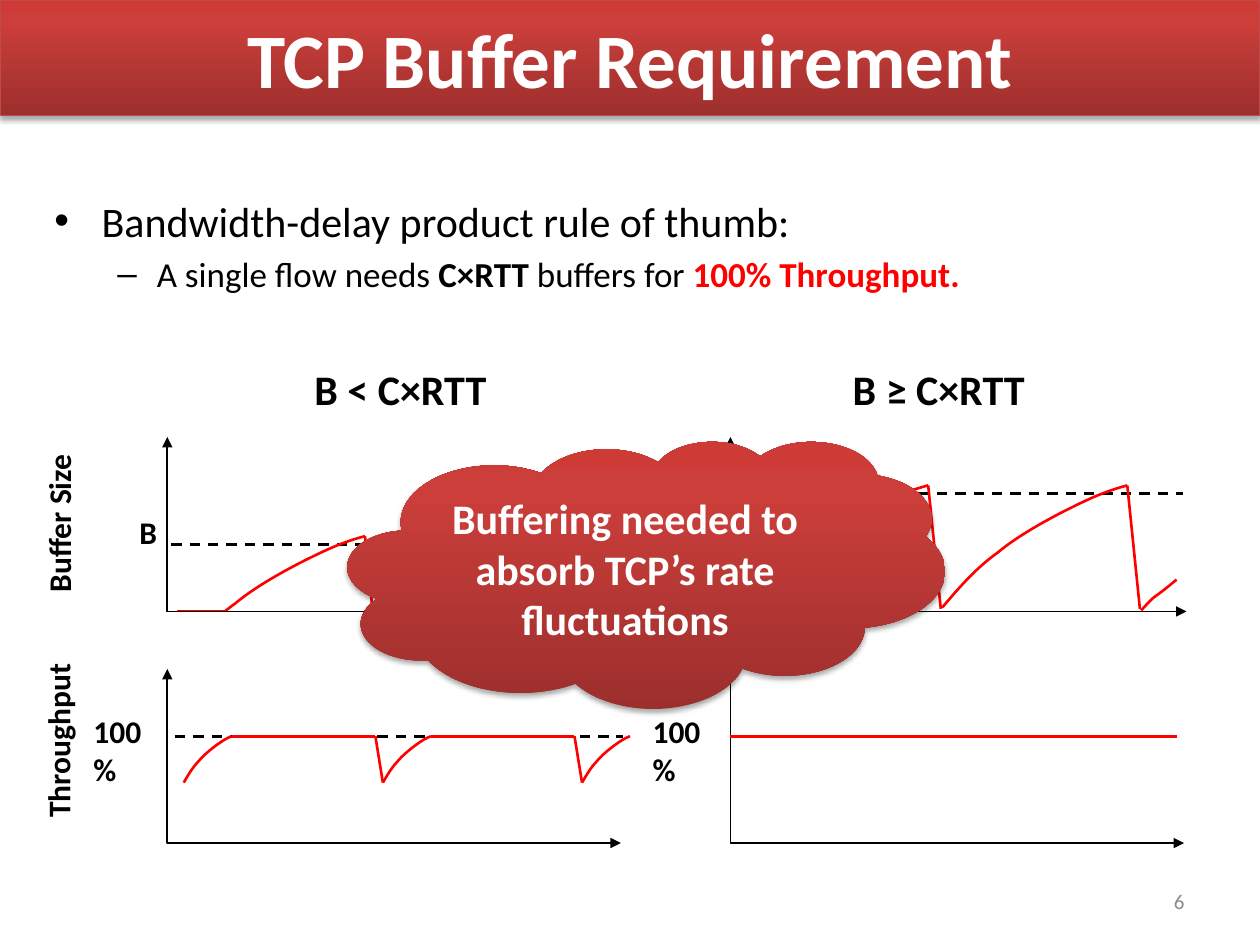
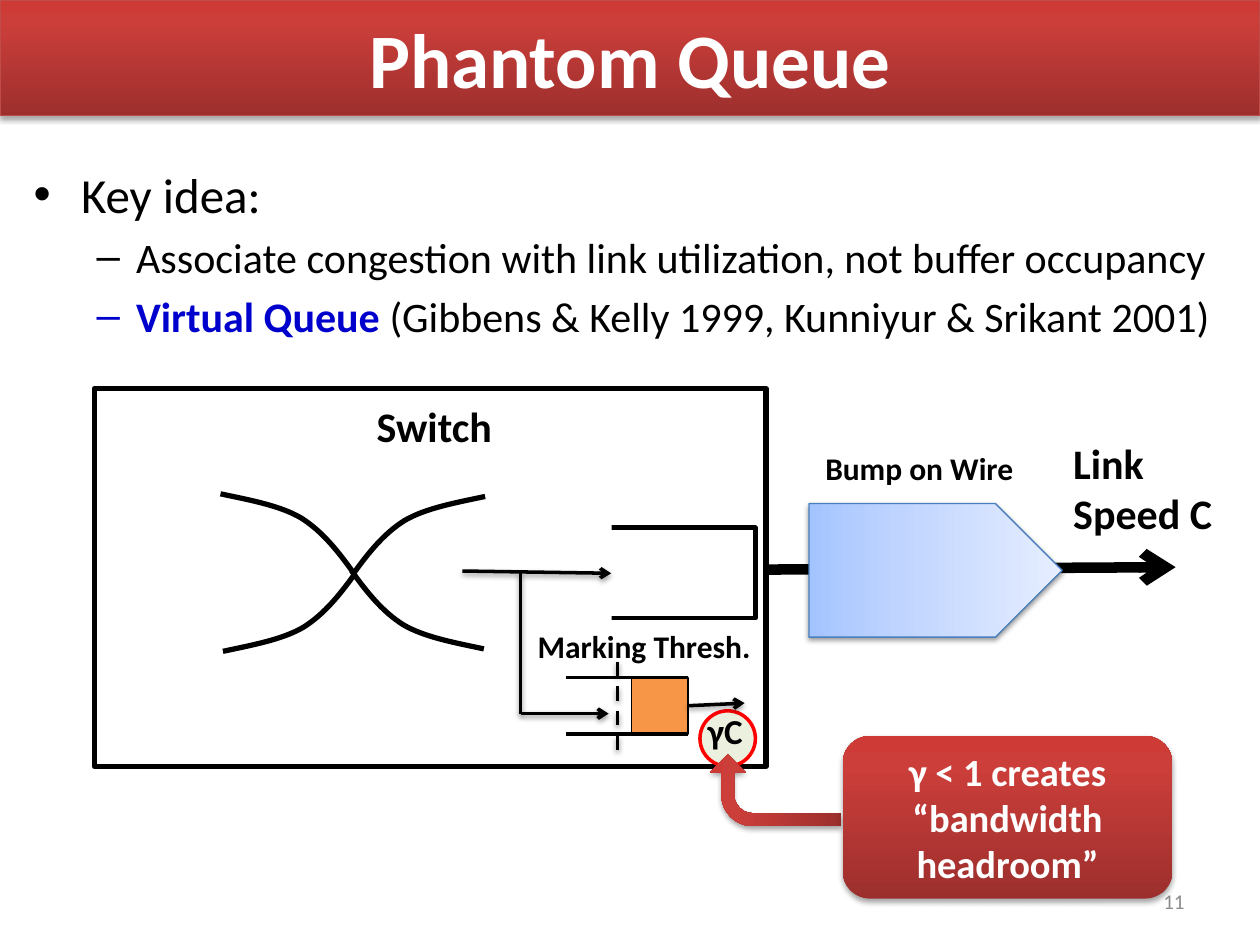
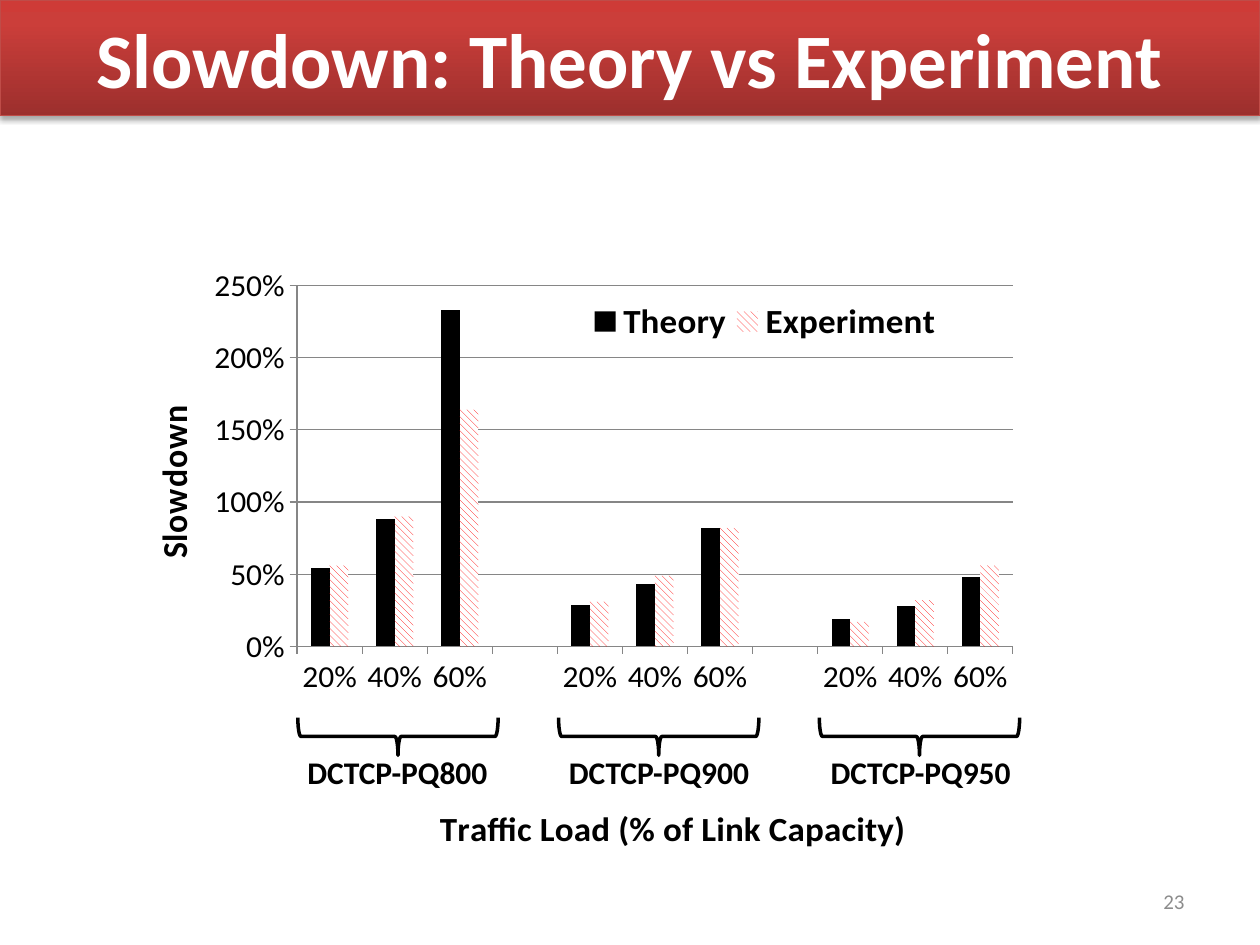
from dataclasses import dataclass

from lxml import etree
from pptx import Presentation
from pptx import util as u
from pptx.chart.data import CategoryChartData
from pptx.dml.color import RGBColor
from pptx.enum import chart as ch, dml, shapes, text
from pptx.oxml import parse_xml
from pptx.oxml.ns import nsdecls, qn

SHAPE = shapes.MSO_SHAPE
ALIGN = text.PP_ALIGN


@dataclass(frozen=True)
class Theme:
    font: str = "Calibri"
    black: str = "000000"
    white: str = "FFFFFF"
    red: str = "FF0000"
    blue: str = "0000CC"
    grey: str = "8C8C8C"
    grid: str = "868686"
    band_edge: str = "BF4C48"
    bump_edge: str = "4B7EBC"
    orange: str = "F79646"
    pale_green: str = "EBF1DE"
    red_grad: tuple = ((0, "9C2F2D"), (80, "CB3E3A"), (100, "CE3B37"))
    blue_grad: tuple = ((0, "A4C4FF"), (35, "BFD4FF"), (100, "E6EEFF"))
    strong_shadow: tuple = (35, 1.8)
    soft_shadow: tuple = (38, 1.6)
    title: int = 44
    idea: int = 28
    head: int = 24
    callout: int = 22
    sub: int = 20
    label: int = 18
    tick: int = 18
    chart: int = 16
    page: int = 12


T = Theme()

RAMP = [(0, 1), (.09, .84), (.18, .68), (.3, .55), (.41, .41),
        (.58, .27), (.7, .18), (.82, .09), (.9, .04), (1, 0)]
ARM = [(0, 0), (.22, .08), (.45, .15), (.61, .31), (.77, .48), (.89, .74), (1, 1)]
RECOVERY = [(0, 1), (.5, .37), (.18, .79), (1, 0)]


@dataclass(frozen=True)
class Box:
    x: float
    y: float
    w: float = 0
    h: float = 0

    def at(self, dx, dy, w=0, h=0):
        return Box(self.x + dx, self.y + dy, w, h)

    def pts(self):
        return [u.Pt(v) for v in (self.x, self.y, self.w, self.h)]


def rgb(value):
    return RGBColor.from_string(value)


def set_effects(item, shadow):
    props = item._element.spPr
    effects = props.find(qn("a:effectLst"))
    if effects is None:
        effects = etree.SubElement(props, qn("a:effectLst"))
    if shadow:
        alpha, dist = shadow
        effects.append(parse_xml(
            f'<a:outerShdw {nsdecls("a")} blurRad="{u.Pt(3.1)}" dist="{u.Pt(dist)}" '
            f'dir="5400000" rotWithShape="0"><a:srgbClr val="000000">'
            f'<a:alpha val="{alpha * 1000}"/></a:srgbClr></a:outerShdw>'))


def set_gradient(sp, stops):
    sp.fill.background()
    props = sp._element.spPr
    marks = "".join(f'<a:gs pos="{pos * 1000}"><a:srgbClr val="{color}"/></a:gs>'
                    for pos, color in stops)
    props.replace(props.find(qn("a:noFill")), parse_xml(
        f'<a:gradFill {nsdecls("a")} rotWithShape="1"><a:gsLst>{marks}</a:gsLst>'
        f'<a:lin ang="16200000" scaled="0"/></a:gradFill>'))


def set_line(item, color, weight, dashed=False, head=None, tail=None):
    line = item.line
    line.color.rgb = rgb(color)
    line.width = u.Pt(weight)
    if dashed:
        line.dash_style = dml.MSO_LINE.DASH
    ln = item._element.spPr.find(qn("a:ln"))
    for tag, kind in (("a:headEnd", head), ("a:tailEnd", tail)):
        if kind:
            etree.SubElement(ln, qn(tag), type=kind)


def add_shape(s, kind, box, fill=None, line=None, weight=.75, rot=0, adj=(), shadow=None):
    sp = s.shapes.add_shape(kind, *box.pts())
    sp.rotation = rot
    for i, value in enumerate(adj):
        sp.adjustments[i] = value
    if isinstance(fill, tuple):
        set_gradient(sp, fill)
    elif fill:
        sp.fill.solid()
        sp.fill.fore_color.rgb = rgb(fill)
    else:
        sp.fill.background()
    if line:
        set_line(sp, line, weight)
    else:
        sp.line.fill.background()
    sp.shadow.inherit = False
    set_effects(sp, shadow)
    return sp


def add_line(s, start, end, color=T.black, weight=1.5, dashed=False, tail=None, shadow=None):
    line = s.shapes.add_connector(shapes.MSO_CONNECTOR.STRAIGHT, u.Pt(start.x), u.Pt(start.y),
                                  u.Pt(end.x), u.Pt(end.y))
    set_line(line, color, weight, dashed, tail=tail)
    set_effects(line, shadow)
    return line


def add_outline(s, points, color, weight, head=None, tail=None):
    start, *rest = [(u.Pt(x), u.Pt(y)) for x, y in points]
    builder = s.shapes.build_freeform(*start)
    builder.add_line_segments(rest, close=False)
    sp = builder.convert_to_shape()
    sp.fill.background()
    set_line(sp, color, weight, head=head, tail=tail)
    sp.shadow.inherit = False
    return sp


def add_curve(s, knots, box, color=T.red, weight=1.5):
    sp = add_outline(s, [(box.x + kx * box.w, box.y + ky * box.h) for kx, ky in knots],
                     color, weight)
    segments = list(sp._element.iter(qn("a:lnTo")))
    for i in range(0, len(segments), 3):
        bezier = etree.Element(qn("a:cubicBezTo"))
        segments[i].addprevious(bezier)
        for segment in segments[i:i + 3]:
            bezier.append(segment[0])
            segment.getparent().remove(segment)


def add_run(p, words, size, color=T.black, bold=False):
    r = p.add_run()
    r.text = words
    r.font.name = T.font
    r.font.size = u.Pt(size)
    r.font.bold = bold
    r.font.color.rgb = rgb(color)


def write(tf, lines, size, color=T.black, bold=True, align=ALIGN.LEFT, wrap=True):
    tf.word_wrap = wrap
    for i, words in enumerate(lines):
        p = tf.add_paragraph() if i else tf.paragraphs[0]
        p.alignment = align
        add_run(p, words, size, color, bold)


def add_label(s, box, *lines, size=T.label, rot=0, **style):
    sp = s.shapes.add_textbox(*box.pts())
    sp.rotation = rot
    write(sp.text_frame, lines, size, **style)
    return sp


def add_bullets(s, box, items):
    tf = s.shapes.add_textbox(*box.pts()).text_frame
    tf.word_wrap = True
    for i, (level, size, runs) in enumerate(items):
        p = tf.add_paragraph() if i else tf.paragraphs[0]
        mark, margin, hang = (("•", 27, 27), ("–", 58.5, 22.5))[level]
        props = p._p.get_or_add_pPr()
        props.set("marL", str(u.Pt(margin)))
        props.set("indent", str(u.Pt(-hang)))
        etree.SubElement(props, qn("a:buFont"), typeface="Arial")
        etree.SubElement(props, qn("a:buChar"), char=mark)
        p.level = level
        if i:
            p.space_before = u.Pt(size * .2)
        for words, color, bold in runs:
            add_run(p, words, size, color, bold)


def new_slide(prs, title, page):
    s = prs.slides.add_slide(prs.slide_layouts[6])
    band = add_shape(s, SHAPE.RECTANGLE, Box(0, 0, 720, 66.2), T.red_grad, T.band_edge,
                     shadow=T.strong_shadow)
    write(band.text_frame, [title], T.title, T.white, align=ALIGN.CENTER)
    number = add_label(s, Box(516, 500.5, 168, 28.8), page, size=T.page, color=T.grey,
                       bold=False, align=ALIGN.RIGHT)
    number.text_frame.vertical_anchor = text.MSO_ANCHOR.MIDDLE
    return s


def add_axes(s, box):
    bottom = box.y + box.h
    add_outline(s, [(box.x, box.y), (box.x, bottom), (box.x + box.w, bottom)], T.black, 1,
                "triangle", "triangle")


def flow_panel(s, box, heading, heading_dx, percent_dx, level, label_y, full_rate):
    period = 113.8
    floor = 99.4
    rate_y = 170.9
    add_label(s, box.at(heading_dx, -45.8, 113.8, 36), heading, size=T.head, wrap=False)
    add_label(s, box.at(-23, label_y, 18.7, 42.5), "B", wrap=False)
    add_label(s, box.at(percent_dx, 153.4, 42.5, 42.5), "100%")
    add_line(s, box.at(2.2, level), box.at(258.5, level), dashed=True)
    for i in range(2):
        tooth = box.at(7.2 + i * period, level - 4.6, 105.8, 69.8)
        add_curve(s, RAMP, tooth)
        add_line(s, tooth.at(105.8, 0), tooth.at(113, 70.5), T.red)
    if full_rate:
        add_curve(s, RECOVERY, box.at(234.7, 81.4, 20.2, 17.6))
    else:
        for left, right in ((5.8, 33.1), (118, 145.4), (231.1, 249.1)):
            add_line(s, box.at(left, floor), box.at(right, floor), T.red)
    add_axes(s, box.at(0, 0, 260.6, 99.6))
    add_shape(s, SHAPE.RECTANGLE, box.at(4.3, 100, 237.6, 35.3), T.white)
    add_axes(s, box.at(0, 132.5, 259.2, 99.4))
    if full_rate:
        add_line(s, box.at(0, rate_y), box.at(254.9, rate_y), T.red)
        return
    add_line(s, box.at(4.3, rate_y), box.at(260.6, rate_y), dashed=True)
    for i in range(3):
        rise = box.at(9.4 + i * period, rate_y, 27.4, 26.5)
        add_curve(s, RAMP, rise)
        if i < 2:
            add_line(s, rise.at(27.4, 0), rise.at(109.5, 0), T.red)
            add_line(s, rise.at(109.5, 0), rise.at(period, 26.5), T.red)


def buffer_slide(prs):
    s = new_slide(prs, "TCP Buffer Requirement", "6")
    add_bullets(s, Box(24, 108, 648, 77.8), [
        (0, T.head, [("Bandwidth-delay product rule of thumb:", T.black, False)]),
        (1, T.sub, [("A single flow needs ", T.black, False), ("C×RTT ", T.black, True),
                    ("buffers for ", T.black, False), ("100% Throughput.", T.red, True)])])
    add_label(s, Box(-28.8, 419.8, 123.8, 28.8), "Throughput", rot=270, align=ALIGN.RIGHT)
    add_label(s, Box(-13.7, 285.4, 94.3, 28.8), "Buffer Size", rot=270, align=ALIGN.RIGHT,
              wrap=False)
    flow_panel(s, Box(417.4, 249.8), "B ≥ C×RTT", 62.8, -51.6, 32.2, 14.4, True)
    flow_panel(s, Box(95.6, 249.8), "B < C×RTT", 77, -49.3, 61.2, 39.6, False)
    cloud = add_shape(s, SHAPE.CLOUD, Box(198.7, 252, 341.3, 152.6), T.red_grad,
                      shadow=T.strong_shadow)
    write(cloud.text_frame, ["Buffering needed to absorb TCP’s rate fluctuations"],
          T.head, T.white, align=ALIGN.CENTER)


def link_region(s, box):
    add_line(s, box.at(0, 79.2), box.at(234, 77.8), weight=6, tail="arrow")
    add_shape(s, SHAPE.SNIP_2_SAME_RECTANGLE, box.at(58.7, 7.3, 76.3, 144.7), T.blue_grad,
              T.bump_edge, rot=90, adj=(.5, 0), shadow=T.soft_shadow)
    add_label(s, box.at(168.4, 0, 102.2, 65.5), "Link", "Speed C", size=T.head)
    add_label(s, box.at(26.7, 6.8, 129.6, 30), "Bump on Wire")


def phantom_queue(s, box):
    add_shape(s, SHAPE.OVAL, box.at(76.7, 30.8, 31.7, 31.7), T.pale_green, T.red, 2)
    backlog = add_shape(s, SHAPE.RECTANGLE, box.at(37.4, 11.7, 32.4, 32.4), T.orange, T.black)
    for wall in (11.7, 44.1):
        add_line(s, box.at(0, wall), box.at(69.8, wall), weight=2)
    drain = add_line(s, box.at(69.8, 27.9), box.at(102.2, 26.4), weight=2, tail="arrow",
                     shadow=T.soft_shadow)
    drain.begin_connect(backlog, 3)
    add_line(s, box.at(29.5, 53.1), box.at(29.5, 0), weight=2, dashed=True,
             shadow=T.soft_shadow)
    add_label(s, box.at(-23.2, -20.4, 156.2, 28.8), "Marking Thresh.")
    add_label(s, box.at(74, 26.4, 34.6, 31.7), "γC", size=T.sub, wrap=False)


def switch_region(s, box):
    add_shape(s, SHAPE.RECTANGLE, box, line=T.black, weight=3)
    add_label(s, box.at(154.2, 3.4, 175.7, 62.6), "Switch", size=T.head)
    for x, y, sx, sy in ((72, 60.2, 1, 1), (222.5, 148.8, -1, -1),
                         (223.2, 61.7, -1, 1), (73.4, 150.2, 1, -1)):
        add_curve(s, ARM, box.at(x, y, sx * 75.6, sy * 44.6), T.black, 3)
    add_shape(s, SHAPE.RECTANGLE, box.at(292, 79.5, 85.7, 51.8), line=T.black, weight=2.5)
    add_shape(s, SHAPE.RECTANGLE, box.at(264.6, 75, 31, 62), T.white)
    for start, end, tail in (((210.2, 104.3), (295.2, 105.6), "arrow"),
                             ((243.4, 185.8), (243.4, 105.6), None),
                             ((243.6, 185.8), (293.8, 185.8), "arrow")):
        add_line(s, box.at(*start), box.at(*end), weight=2, tail=tail, shadow=T.soft_shadow)
    phantom_queue(s, box.at(269.3, 153.4))


def headroom_callout(s, box):
    add_shape(s, SHAPE.BENT_ARROW, box.at(-59, -6.5, 41, 74.9), T.red_grad, rot=270,
              adj=(.18, .25, .25, .44), shadow=T.strong_shadow)
    note = add_shape(s, SHAPE.ROUNDED_RECTANGLE, box, T.red_grad, shadow=T.strong_shadow)
    write(note.text_frame, ["γ < 1 creates", "“bandwidth headroom”"], T.callout, T.white,
          align=ALIGN.CENTER)


def phantom_slide(prs):
    s = new_slide(prs, "Phantom Queue", "11")
    link_region(s, Box(437.8, 246.3))
    switch_region(s, Box(54, 222, 383.8, 216))
    add_bullets(s, Box(12.2, 90.2, 702, 120), [
        (0, T.idea, [("Key idea:", T.black, False)]),
        (1, T.head, [("Associate congestion with link utilization, not buffer occupancy",
                      T.black, False)]),
        (1, T.head, [("Virtual Queue ", T.blue, True),
                     ("(Gibbens & Kelly 1999, Kunniyur & Srikant 2001)", T.black, False)])])
    headroom_callout(s, Box(481.6, 420.6, 188.3, 92.9))


def set_layout(parent, frame, part, inner=False):
    for old in parent.findall(qn("c:layout")):
        parent.remove(old)
    target = '<c:layoutTarget val="inner"/>' if inner else ""
    modes = '<c:xMode val="edge"/><c:yMode val="edge"/>'
    sizes = f'<c:x val="{part.x / frame.w:.4f}"/><c:y val="{part.y / frame.h:.4f}"/>'
    if part.w:
        sizes += f'<c:w val="{part.w / frame.w:.4f}"/><c:h val="{part.h / frame.h:.4f}"/>'
    lead = [c for c in parent if c.tag in (qn("c:tx"), qn("c:legendPos"))]
    parent.insert(len(lead), parse_xml(
        f'<c:layout {nsdecls("c")}><c:manualLayout>{target}{modes}{sizes}'
        f'</c:manualLayout></c:layout>'))


def style_axis(axis, title, frame, place):
    add_run(axis.axis_title.text_frame.paragraphs[0], title, T.sub, bold=True)
    set_layout(axis.axis_title._element, frame, place)
    axis.major_tick_mark = ch.XL_TICK_MARK.OUTSIDE
    axis.minor_tick_mark = ch.XL_TICK_MARK.NONE
    axis.tick_labels.font.size = u.Pt(T.tick)
    axis.format.line.color.rgb = rgb(T.grid)
    axis.format.line.width = u.Pt(.75)


def slowdown_chart(s, box):
    loads = ["20%", "40%", "60%"]
    data = CategoryChartData(number_format="0%")
    data.categories = [*loads, "", *loads, "", *loads]
    data.add_series("Theory", [.54, .88, 2.33, None, .29, .43, .82, None, .19, .28, .48])
    data.add_series("Experiment", [.56, .9, 1.64, None, .31, .49, .82, None, .17, .32, .56])
    chart = s.shapes.add_chart(ch.XL_CHART_TYPE.COLUMN_CLUSTERED, *box.pts(), data).chart
    chart.has_title = False
    chart.font.name = T.font
    chart.font.size = u.Pt(T.chart)
    chart.font.color.rgb = rgb(T.black)
    plot = chart.plots[0]
    plot.gap_width = 150
    plot.overlap = 0
    plot.vary_by_categories = False
    theory, experiment = [series.format.fill for series in plot.series]
    theory.solid()
    theory.fore_color.rgb = rgb(T.black)
    experiment.patterned()
    experiment.pattern = dml.MSO_PATTERN.WIDE_DOWNWARD_DIAGONAL
    experiment.fore_color.rgb = rgb(T.red)
    experiment.back_color.rgb = rgb(T.white)
    values = chart.value_axis
    values.minimum_scale, values.maximum_scale, values.major_unit = 0, 2.5, .5
    values.tick_labels.number_format = "0%"
    values.tick_labels.number_format_is_linked = False
    values.major_gridlines.format.line.color.rgb = rgb(T.grid)
    values.major_gridlines.format.line.width = u.Pt(.75)
    style_axis(values, "Slowdown", box, Box(0, 80.8))
    style_axis(chart.category_axis, "Traffic Load (% of Link Capacity)", box, Box(166.4, 314.2))
    chart.has_legend = True
    legend = chart.legend
    legend.position = ch.XL_LEGEND_POSITION.TOP
    legend.include_in_layout = True
    legend.font.size = u.Pt(T.sub)
    legend.font.bold = True
    set_layout(legend._element, box, Box(252.3, 15.3, 207, 33.9))
    plot_area = chart._chartSpace.find(".//" + qn("c:plotArea"))
    set_layout(plot_area, box, Box(88.4, 10.9, 409, 213.6), True)


def slowdown_slide(prs):
    s = new_slide(prs, "Slowdown: Theory vs Experiment", "23")
    box = Box(81.4, 152.6, 511.2, 339.1)
    slowdown_chart(s, box)
    for i, rate in enumerate((800, 900, 950)):
        add_shape(s, SHAPE.RIGHT_BRACE, box.at(135.2 + i * 149, 211, 21.6, 114.5),
                  line=T.black, weight=2, rot=90)
        add_label(s, box.at(87.1 + i * 149.5, 274.4, 123.1, 30.2), f"DCTCP-PQ{rate}")


def main():
    prs = Presentation()
    prs.slide_width, prs.slide_height = u.Pt(720), u.Pt(540)
    buffer_slide(prs)
    phantom_slide(prs)
    slowdown_slide(prs)
    prs.save("out.pptx")


if __name__ == "__main__":
    main()
